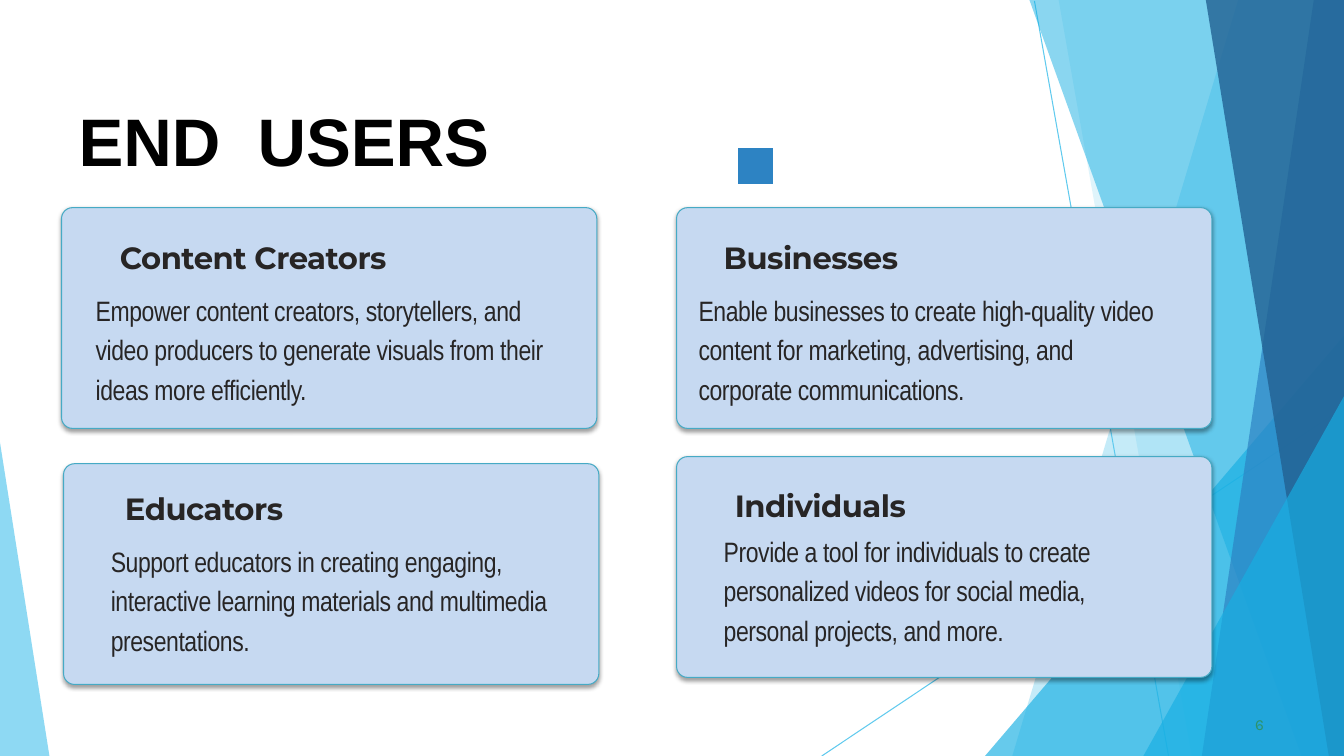
from pptx import Presentation
from pptx.dml.color import RGBColor
from pptx.enum.shapes import MSO_CONNECTOR, MSO_SHAPE
from pptx.enum.text import MSO_ANCHOR, MSO_AUTO_SIZE, PP_ALIGN
from pptx.oxml import parse_xml
from pptx.oxml.ns import nsdecls, qn
from pptx.util import Pt
from lxml import etree

PX = 9144
WIDE, HIGH = 1333, 750
ROUND = MSO_SHAPE.ROUNDED_RECTANGLE
LINE = MSO_CONNECTOR.STRAIGHT
TOP = MSO_ANCHOR.TOP
FIXED = MSO_AUTO_SIZE.NONE
LEFT = PP_ALIGN.LEFT

SKY = RGBColor(0x5F, 0xCA, 0xEE)
CYAN = RGBColor(0x17, 0xAF, 0xE3)
BLUE = RGBColor(0x2D, 0x83, 0xC3)
NAVY = RGBColor(0x22, 0x61, 0x92)
PALE = RGBColor(0xC6, 0xD9, 0xF1)
TEAL = RGBColor(0x46, 0xAA, 0xC5)
INK = RGBColor(0x27, 0x25, 0x25)
BLACK = RGBColor(0, 0, 0)
GREEN = RGBColor(0x2D, 0x93, 0x6B)

RAYS = [
    ((1026, 1), (1159, 750)),
    ((1333, 404), (815, 750)),
]
SHARDS = [
    (SKY, 36, [(1333, 0), (1228, 0), (1004, 750), (1333, 750)]),
    (SKY, 20, [(1333, 0), (1050, 0), (1182, 750), (1333, 750)]),
    (CYAN, 66, [(1333, 333), (977, 750), (1333, 750)]),
    (CYAN, 50, [(1333, 0), (1021, 0), (1291, 750), (1333, 750)]),
    (BLUE, 70, [(1333, 0), (1303, 0), (1192, 750), (1333, 750)]),
    (NAVY, 80, [(1333, 0), (1196, 0), (1318, 750), (1333, 750)]),
    (CYAN, 66, [(1333, 393), (1134, 750), (1333, 750)]),
    (SKY, 70, [(0, 439), (0, 750), (49, 750)]),
]
CARDS = [
    ((61, 206), "Content Creators", (48, 25),
     "Empower content creators, storytellers, and video producers to generate "
     "visuals from their ideas more efficiently.", (24, 75, 481)),
    ((63, 460), "Educators", (51, 20),
     "Support educators in creating engaging, interactive learning materials "
     "and multimedia presentations.", (37, 70, 481)),
    ((671, 206), "Businesses", (37, 25),
     "Enable businesses to create high-quality video content for marketing, "
     "advertising, and corporate communications.", (12, 75, 481)),
    ((671, 453), "Individuals", (48, 24),
     "Provide a tool for individuals to create personalized videos for social "
     "media, personal projects, and more.", (37, 67, 456)),
]


def px(*nums):
    return [n * PX for n in nums]


def style(run, font, size, color, bold=False, track=0):
    run.font.name = font
    run.font.size = Pt(size)
    run.font.bold = bold
    run.font.color.rgb = color
    if track:
        run.font._element.set("spc", str(track))


def label(slide, box, text, font, size, color, pitch=None, bold=False, track=0):
    frame = slide.shapes.add_textbox(*px(*box)).text_frame
    frame.word_wrap = True
    para = frame.paragraphs[0]
    para.text = text
    if pitch:
        para.line_spacing = Pt(pitch)
    style(para.runs[0], font, size, color, bold, track)
    return frame


def ray(slide, start, end):
    line = slide.shapes.add_connector(LINE, *px(*start, *end))
    line.line.color.rgb = SKY
    line.line.width = Pt(0.75)
    etree.SubElement(line._element.spPr, qn("a:effectLst"))


def shard(slide, color, alpha, points):
    pen = slide.shapes.build_freeform(*points[0], scale=PX)
    pen.add_line_segments(points[1:], close=True)
    shape = pen.convert_to_shape()
    shape.shadow.inherit = False
    shape.fill.solid()
    shape.fill.fore_color.rgb = color
    shape.line.fill.background()
    if alpha < 100:
        tint = shape._element.spPr.find(qn("a:solidFill"))[0]
        etree.SubElement(tint, qn("a:alpha"), val=str(alpha * 1000))


def backdrop(slide):
    for start, end in RAYS:
        ray(slide, start, end)
    for color, alpha, points in SHARDS:
        shard(slide, color, alpha, points)
    shard(slide, BLUE, 100, [(767, 147), (732, 147), (732, 183), (767, 183)])


def heading(slide, box):
    title = slide.shapes.title
    title.left, title.top, title.width, title.height = px(*box)
    frame = title.text_frame
    frame.text = "END  USERS"
    frame.auto_size = FIXED
    frame.vertical_anchor = TOP
    frame.margin_left, frame.margin_top, frame.margin_right, frame.margin_bottom = px(17, 57, 0, 0)
    para = frame.paragraphs[0]
    para.alignment = LEFT
    para.space_before = Pt(1.3)
    style(para.runs[0], "Arial", 48, BLACK, True)


def shade(shape):
    shape.shadow.inherit = False
    effects = shape._element.spPr.find(qn("a:effectLst"))
    effects.append(parse_xml(
        f'<a:outerShdw {nsdecls("a")} blurRad="{Pt(3.1)}" dist="{Pt(1.6)}" '
        'dir="5400000" rotWithShape="0"><a:srgbClr val="000000">'
        '<a:alpha val="38000"/></a:srgbClr></a:outerShdw>'))


def card(slide, spot, name, head, text, body):
    x, y = spot
    panel = slide.shapes.add_shape(ROUND, *px(x, y, 531, 219))
    panel.adjustments[0] = 0.05
    panel.fill.solid()
    panel.fill.fore_color.rgb = PALE
    panel.line.color.rgb = TEAL
    panel.line.width = Pt(0.75)
    shade(panel)
    dx, dy, wide = body
    label(slide, (x + dx, y + dy, wide, 117), text,
          "Arial Narrow", 20, INK, 28, track=-30)
    dx, dy = head
    label(slide, (x + dx, y + dy, 304, 38), name,
          "Montserrat", 21.9, INK, 27.3, True, -40)


def folio(slide, box):
    frame = label(slide, box, "6", "Karla", 11, GREEN, track=-50)
    frame.margin_left, frame.margin_top, frame.margin_right, frame.margin_bottom = px(12, 1, 0, 0)
    frame.paragraphs[0].space_before = Pt(0.6)


def main():
    deck = Presentation()
    deck.slide_width, deck.slide_height = px(WIDE, HIGH)
    slide = deck.slides.add_slide(deck.slide_layouts[5])
    backdrop(slide)
    heading(slide, (61, 42, 1068, 139))
    folio(slide, (1233, 708, 26, 21))
    for item in CARDS:
        card(slide, *item)
    deck.save("out.pptx")


if __name__ == "__main__":
    main()
